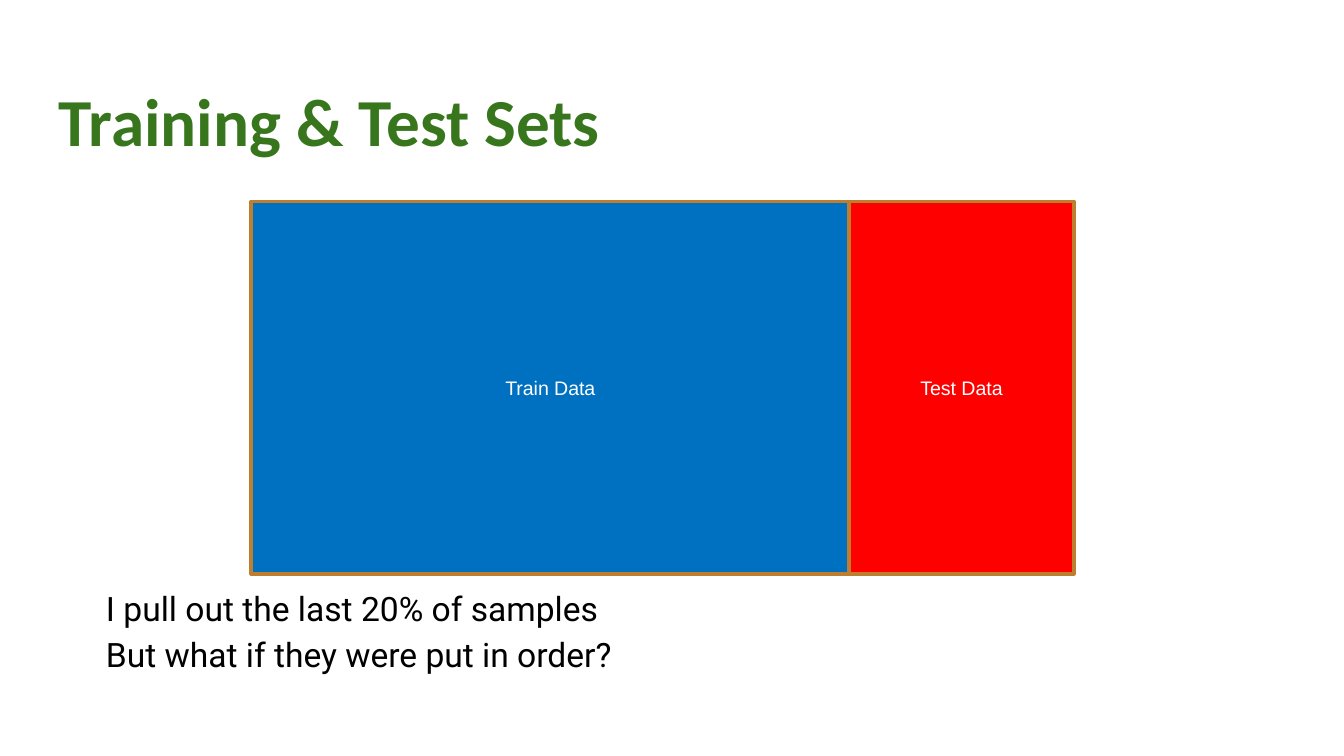
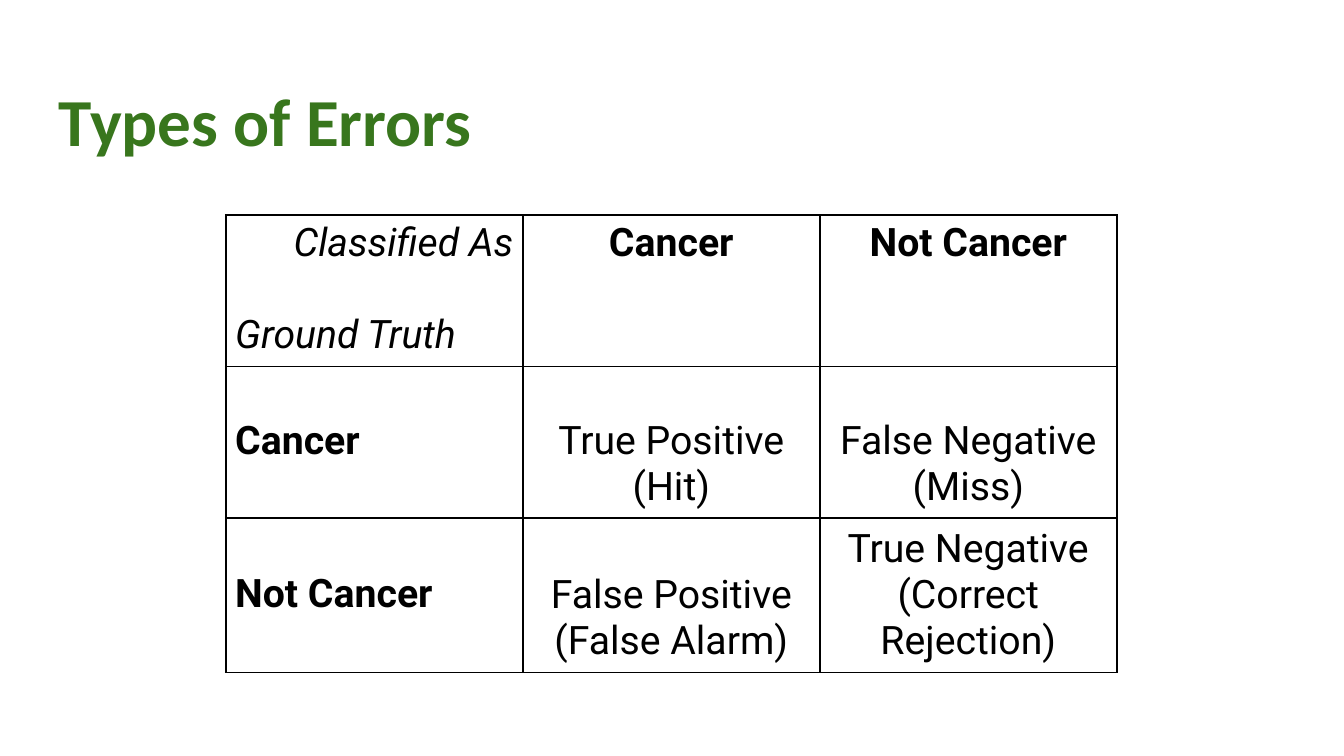
"""Build two slides on test sets and error types."""
from lxml import etree
from pptx import Presentation
from pptx import util as u
from pptx.dml.color import RGBColor
from pptx.enum import shapes, text
from pptx.oxml.ns import qn

WIDE = 10
HIGH = WIDE * 9 / 16
INK, EDGE = "000000", "BD7F2F"
HEAD = dict(name="Calibri", size=36, bold=True, color="38761D")
BODY = dict(name="Roboto", size=18, color=INK)
TAG = dict(name="Arial", size=10.5, color="FFFFFF")
CELL = dict(name="Roboto", size=21, color=INK)
BOLD, SLANT = dict(CELL, bold=True), dict(CELL, italic=True)

LEFT, MID, RIGHT = text.PP_ALIGN.LEFT, text.PP_ALIGN.CENTER, text.PP_ALIGN.RIGHT
TOP, CORE, BASE = text.MSO_ANCHOR.TOP, text.MSO_ANCHOR.MIDDLE, text.MSO_ANCHOR.BOTTOM

SPLIT = dict(
    title="Training & Test Sets",
    bars=[("Train Data", 4.45, "0070C0"), ("Test Data", 1.67, "FF0000")],
    lines=["I pull out the last 20% of samples",
           "But what if they were put in order?"])
ERRORS = dict(
    title="Types of Errors",
    axes=["Classified As", "Ground Truth"],
    names=["Cancer", "Not Cancer"],
    cells=[[["True Positive", "(Hit)"], ["False Negative", "(Miss)"]],
           [["False Positive", "(False Alarm)"],
            ["True Negative", "(Correct Rejection)"]]])


def tint(code):
    return RGBColor.from_string(code)


def style(font, form):
    for key, val in form.items():
        if key == "color":
            font.color.rgb = tint(val)
        else:
            setattr(font, key, u.Pt(val) if key == "size" else val)


def pad(part, side, top, low):
    pads = dict(left=side, right=side, top=top, bottom=low)
    for key, val in pads.items():
        setattr(part, "margin_" + key, u.Inches(val))


def write(frame, lines, form, align=LEFT, space=None):
    for i, line in enumerate(lines):
        para = frame.paragraphs[0] if i == 0 else frame.add_paragraph()
        para.alignment = align
        if space:
            para.line_spacing = space
        run = para.add_run()
        run.text = line
        style(run.font, form)


def box(slide, at, lines, form, anchor=TOP, low=0.1, space=None):
    frame = slide.shapes.add_textbox(*map(u.Inches, at)).text_frame
    pad(frame, 0.1, 0.1, low)
    frame.word_wrap, frame.vertical_anchor = True, anchor
    write(frame, lines, form, space=space)


def start(deck, title):
    slide = deck.slides.add_slide(deck.slide_layouts[6])
    box(slide, (0.34, 0.49, WIDE - 0.68, 0.63), [title], HEAD)
    return slide


def bar(slide, at, label, fill):
    rect = slide.shapes.add_shape(shapes.MSO_SHAPE.RECTANGLE, *map(u.Inches, at))
    rect.shadow.inherit = False
    rect.fill.solid()
    rect.fill.fore_color.rgb = tint(fill)
    rect.line.color.rgb = tint(EDGE)
    rect.line.width = u.Pt(2)
    rect.text_frame.vertical_anchor = CORE
    write(rect.text_frame, [label], TAG, MID)


def edge(cell):
    props = cell._tc.get_or_add_tcPr()
    for side in ("lnL", "lnR", "lnT", "lnB"):
        line = etree.SubElement(props, qn("a:" + side), w=str(u.Pt(1)))
        fill = etree.SubElement(line, qn("a:solidFill"))
        etree.SubElement(fill, qn("a:srgbClr"), val=INK)
    cell.fill.background()


def put(cell, lines, form, align, anchor):
    pad(cell, 0.07, 0.04, 0.04 if anchor == TOP else 0.06)
    cell.vertical_anchor = anchor
    write(cell.text_frame, lines, form, align)
    edge(cell)


def draw_split(deck):
    slide = start(deck, SPLIT["title"])
    box(slide, (0.69, 1.5, WIDE - 1.38, 4.13), SPLIT["lines"], BODY,
        BASE, low=0.63, space=1.15)
    left = 1.87
    for label, width, fill in SPLIT["bars"]:
        bar(slide, (left, 1.5, width, 2.77), label, fill)
        left += width


def draw_errors(deck):
    slide = start(deck, ERRORS["title"])
    at = map(u.Inches, (1.68, 1.6, 6.63, 3.38))
    grid = slide.shapes.add_table(3, 3, *at).table
    grid.first_row = grid.horz_banding = False
    head = grid.cell(0, 0)
    put(head, ERRORS["axes"], SLANT, LEFT, TOP)
    first, last = head.text_frame.paragraphs
    first.alignment = RIGHT
    last.space_before = u.Pt(24.6)
    for i, name in enumerate(ERRORS["names"], 1):
        put(grid.cell(0, i), [name], BOLD, MID, TOP)
        put(grid.cell(i, 0), [name], BOLD, LEFT, CORE)
        for j, lines in enumerate(ERRORS["cells"][i - 1], 1):
            put(grid.cell(i, j), lines, CELL, MID, BASE)


def main():
    deck = Presentation()
    deck.slide_width, deck.slide_height = u.Inches(WIDE), u.Inches(HIGH)
    draw_split(deck)
    draw_errors(deck)
    deck.save("out.pptx")


if __name__ == "__main__":
    main()
